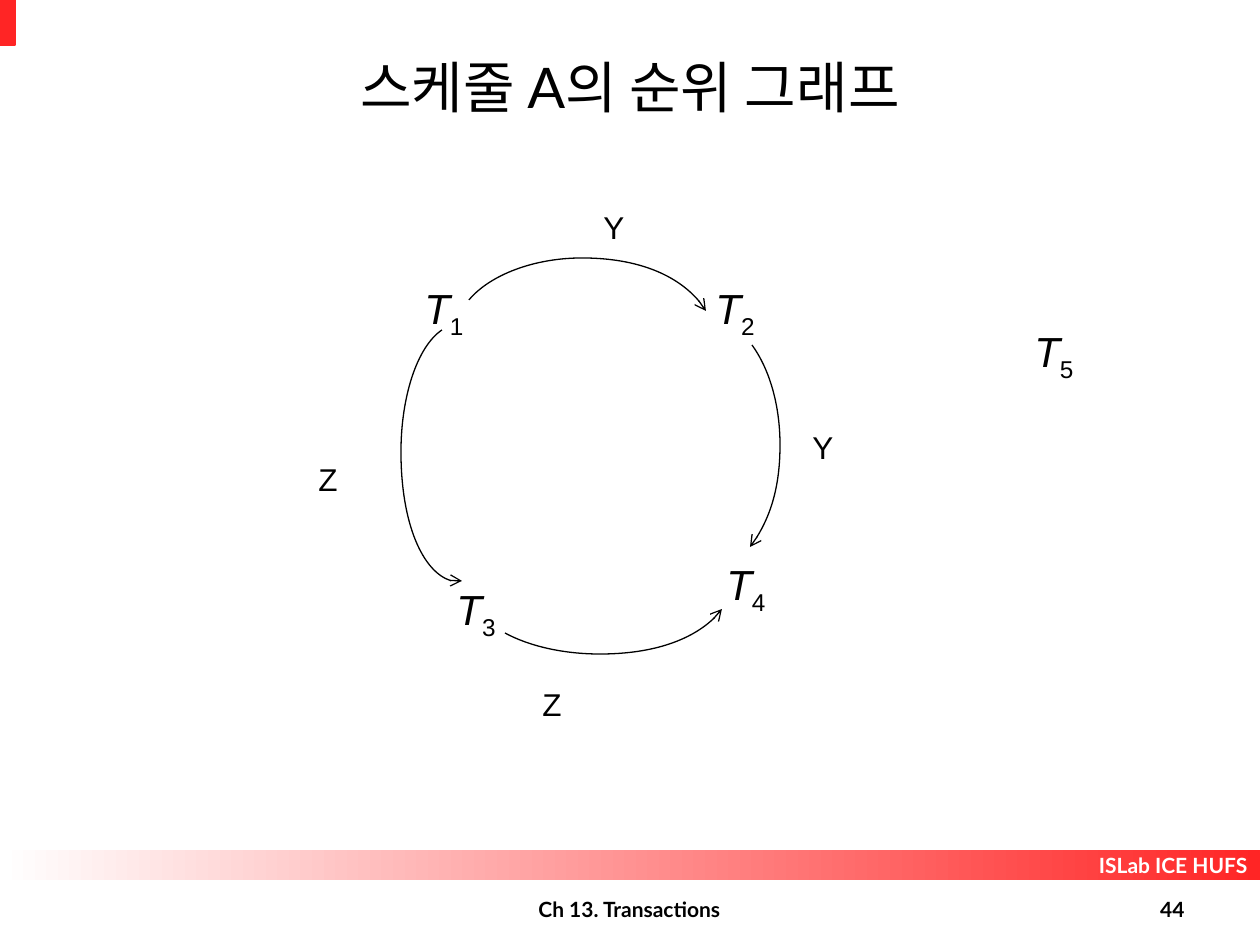
from lxml import etree
from pptx import Presentation
from pptx.dml.color import RGBColor
from pptx.enum.shapes import MSO_SHAPE
from pptx.enum.text import MSO_ANCHOR, MSO_AUTO_SIZE, PP_ALIGN
from pptx.oxml.ns import qn
from pptx.util import Pt

RECT = MSO_SHAPE.RECTANGLE
TOP, MIDDLE = MSO_ANCHOR.TOP, MSO_ANCHOR.MIDDLE
LEFT, CENTER, RIGHT = PP_ALIGN.LEFT, PP_ALIGN.CENTER, PP_ALIGN.RIGHT
NO_FIT = MSO_AUTO_SIZE.NONE

BLACK = RGBColor(0x00, 0x00, 0x00)
WHITE = RGBColor(0xFF, 0xFF, 0xFF)
RED = RGBColor(0xFF, 0x25, 0x25)

SCALE = 914400 / 126  # EMU in one px
WIDTH, HEIGHT = 1260, 945
NODE_W, NODE_H = 76, 71
LABEL_W, LABEL_H = 82, 50

NODES = [("1", 406, 276), ("2", 697, 276), ("3", 438, 577),
         ("4", 708, 552), ("5", 1016, 319)]
LABELS = [("Y", 591, 202), ("Y", 800, 422), ("Z", 306, 454), ("Z", 530, 679)]
# Each edge runs from its arrow tip back to its source node: a start point,
# then two control points and an end point for every curve.
EDGES = [
    [(706, 311), (688, 280), (639, 258), (582, 258),
     (534, 258), (490, 275), (469, 300)],
    [(750, 547), (769, 523), (780, 485), (780, 445),
     (780, 406), (770, 370), (752, 345)],
    [(462, 581), (461, 582), (460, 582), (459, 582),
     (427, 582), (401, 524), (401, 452),
     (401, 397), (417, 347), (442, 330)],
    [(722, 609), (704, 635), (655, 654), (600, 654),
     (563, 654), (529, 646), (505, 633)],
]


def px(*nums):
    return [round(n * SCALE) for n in nums]


def write(shape, text, sub="", size=12, font="Lato", color=BLACK, bold=False,
          italic=False, align=LEFT, anchor=TOP):
    """Fill a shape with one line of text and an optional upright subscript."""
    frame = shape.text_frame
    frame.word_wrap = True
    frame.auto_size = NO_FIT
    frame.vertical_anchor = anchor
    par = frame.paragraphs[0]
    par.alignment = align
    for part in filter(None, (text, sub)):
        run = par.add_run()
        run.text = part
        run.font.size = Pt(size)
        run.font.name = font
        run.font.color.rgb = color
        run.font.bold = bold
        run.font.italic = italic and part is text
    if sub:
        run.font._element.set("baseline", "-25000")


class Deck:
    def __init__(self):
        self.prs = Presentation()
        self.prs.slide_width, self.prs.slide_height = px(WIDTH, HEIGHT)
        self.slide = self.prs.slides.add_slide(self.prs.slide_layouts[5])
        self.shapes = self.slide.shapes

    def title(self, box, text):
        shape = self.shapes.title
        shape.left, shape.top, shape.width, shape.height = px(*box)
        write(shape, text, size=32, align=CENTER, anchor=MIDDLE)

    def text(self, box, text, **style):
        write(self.shapes.add_textbox(*px(*box)), text, **style)

    def rect(self, box):
        shape = self.shapes.add_shape(RECT, *px(*box))
        shape.shadow.inherit = False
        shape.fill.solid()
        shape.fill.fore_color.rgb = RED
        shape.line.color.rgb = RED
        shape.line.width = Pt(0.75)
        return shape

    def band(self, box, text):
        shape = self.rect(box)
        shape.line.fill.background()
        shape.fill.gradient()
        shape.fill.gradient_angle = 0
        for stop, color in zip(shape.fill.gradient_stops, (WHITE, RED)):
            stop.color.rgb = color
        write(shape, text, color=WHITE, bold=True, align=RIGHT, anchor=MIDDLE)

    def curve(self, points):
        """Draw Bezier curves through the points, with an arrow at the first."""
        pen = self.shapes.build_freeform(*points[0], scale=SCALE)
        pen.add_line_segments(points[1:], close=False)
        shape = pen.convert_to_shape()
        shape.shadow.inherit = False
        shape.fill.background()
        shape.line.color.rgb = BLACK
        shape.line.width = Pt(0.75)
        line = shape.line._get_or_add_ln()
        etree.SubElement(line, qn("a:headEnd"), type="arrow")
        route = next(shape._element.iter(qn("a:path")))
        steps = route.findall(qn("a:lnTo"))
        for i in range(0, len(steps), 3):
            bend = etree.SubElement(route, qn("a:cubicBezTo"))
            for step in steps[i:i + 3]:
                bend.append(step[0])
                route.remove(step)

    def save(self):
        self.prs.save("out.pptx")


def main():
    deck = Deck()
    deck.band((0, 850, WIDTH, 30), "ISLab ICE HUFS")
    deck.rect((0, 0, 15, 45))
    deck.text((372, 890, 515, 36), "Ch 13. Transactions", bold=True,
              align=CENTER)
    deck.text((903, 890, 294, 36), "44", bold=True, align=RIGHT)
    deck.title((63, 27, 1134, 118), "스케줄 A의 순위 그래프")
    for num, x, y in NODES:
        deck.text((x, y, NODE_W, NODE_H), "T", sub=num, size=24, font="Arial",
                  italic=True, align=CENTER, anchor=MIDDLE)
    for points in EDGES:
        deck.curve(points)
    for name, x, y in LABELS:
        deck.text((x, y, LABEL_W, LABEL_H), name, size=18, font="Arial")
    deck.save()


if __name__ == "__main__":
    main()
